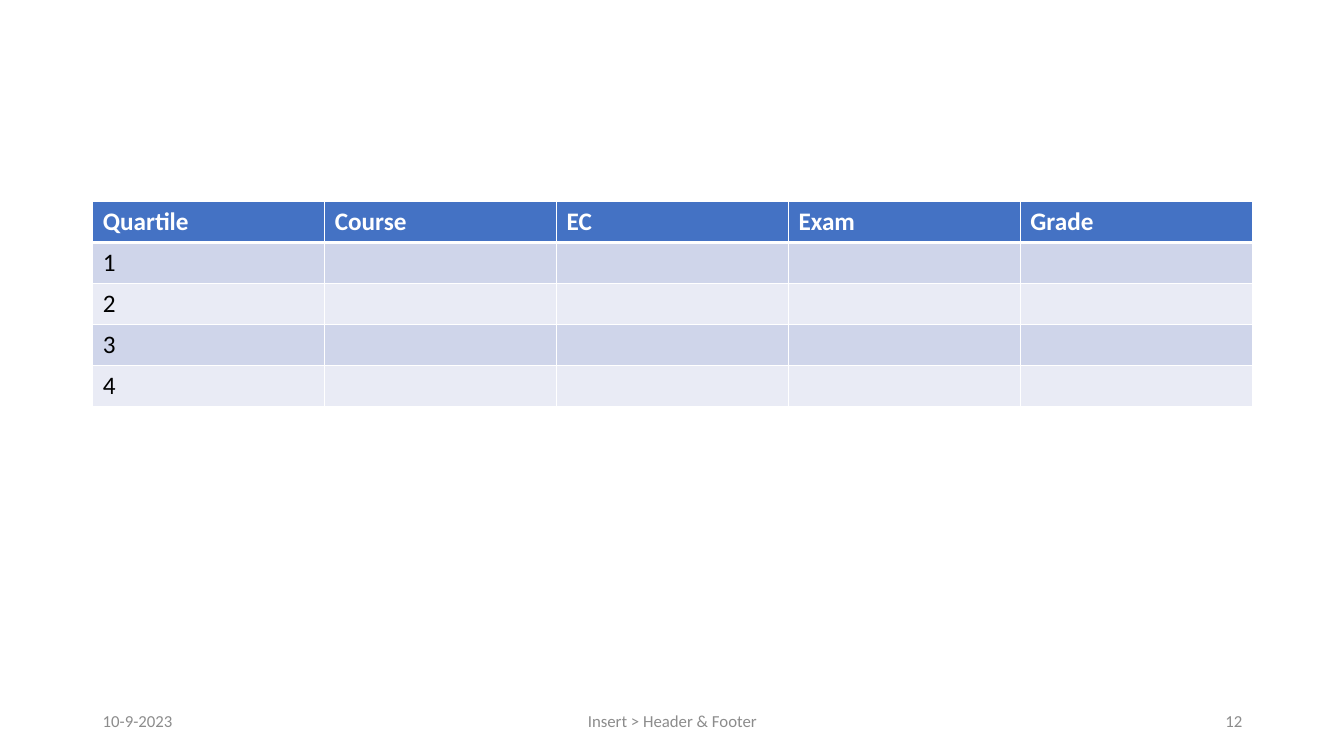
import pptx
import pptx.dml.color
import pptx.enum.text
import pptx.oxml
import pptx.oxml.ns
import pptx.util

Inches = pptx.util.Inches
ALIGN = pptx.enum.text.PP_ALIGN
ANCHOR = pptx.enum.text.MSO_ANCHOR

HEADINGS = ["Quartile", "Course", "EC", "Exam", "Grade"]
QUARTILES = ["1", "2", "3", "4"]
HEADER_FILL = "4472C4"
BAND_FILLS = ["CFD5EA", "E9EBF5"]
WHITE, BLACK, GREY = "FFFFFF", "000000", "8C8C8C"


def rgb(value):
    return pptx.dml.color.RGBColor.from_string(value)


def write(frame, text, size=18, color=BLACK, bold=False, align=ALIGN.LEFT):
    paragraph = frame.paragraphs[0]
    paragraph.alignment = align
    run = paragraph.add_run()
    run.text = text
    run.font.name = "Calibri"
    run.font.size = pptx.util.Pt(size)
    run.font.bold = bold
    run.font.color.rgb = rgb(color)


def set_borders(cell, color=WHITE, **widths):
    """Draw the cell's sides, with widths in points keyed L, R, T, B."""
    properties = cell._tc.get_or_add_tcPr()
    for side, width in widths.items():
        properties.append(pptx.oxml.parse_xml(
            f'<a:ln{side} {pptx.oxml.ns.nsdecls("a")} w="{pptx.util.Pt(width)}">'
            f'<a:solidFill><a:srgbClr val="{color}"/></a:solidFill></a:ln{side}>'))


def add_grade_table(slide, left, top, width, height):
    rows = [HEADINGS] + [[quartile] + [""] * (len(HEADINGS) - 1) for quartile in QUARTILES]
    table = slide.shapes.add_table(len(rows), len(HEADINGS), Inches(left), Inches(top),
                                   Inches(width), Inches(height)).table
    table.horz_banding = False
    for row_index, texts in enumerate(rows):
        is_header = row_index == 0
        fill = HEADER_FILL if is_header else BAND_FILLS[(row_index - 1) % 2]
        for column_index, text in enumerate(texts):
            cell = table.cell(row_index, column_index)
            set_borders(cell, L=1, R=1, T=3 if row_index == 1 else 1, B=3 if is_header else 1)
            cell.fill.solid()
            cell.fill.fore_color.rgb = rgb(fill)
            if text:
                write(cell.text_frame, text, color=WHITE if is_header else BLACK, bold=is_header)


def add_footer(slide, left, top, width, height):
    """Place the date at the left, the footer text in the middle and the page number at the right."""
    side_width, middle_width = 3, 4.5
    parts = [
        ("10-9-2023", left, side_width, ALIGN.LEFT),
        ("Insert > Header & Footer", left + (width - middle_width) / 2, middle_width, ALIGN.CENTER),
        ("12", left + width - side_width, side_width, ALIGN.RIGHT),
    ]
    for text, part_left, part_width, align in parts:
        frame = slide.shapes.add_textbox(Inches(part_left), Inches(top),
                                         Inches(part_width), Inches(height)).text_frame
        frame.word_wrap = True
        frame.vertical_anchor = ANCHOR.MIDDLE
        write(frame, text, size=12, color=GREY, align=align)


def main():
    presentation = pptx.Presentation()
    presentation.slide_width = Inches(13.33)
    presentation.slide_height = Inches(7.5)
    slide = presentation.slides.add_slide(presentation.slide_layouts[6])
    add_grade_table(slide, 0.92, 2, 11.5, 2.03)
    add_footer(slide, 0.92, 6.95, 11.5, 0.4)
    presentation.save("out.pptx")


if __name__ == "__main__":
    main()
